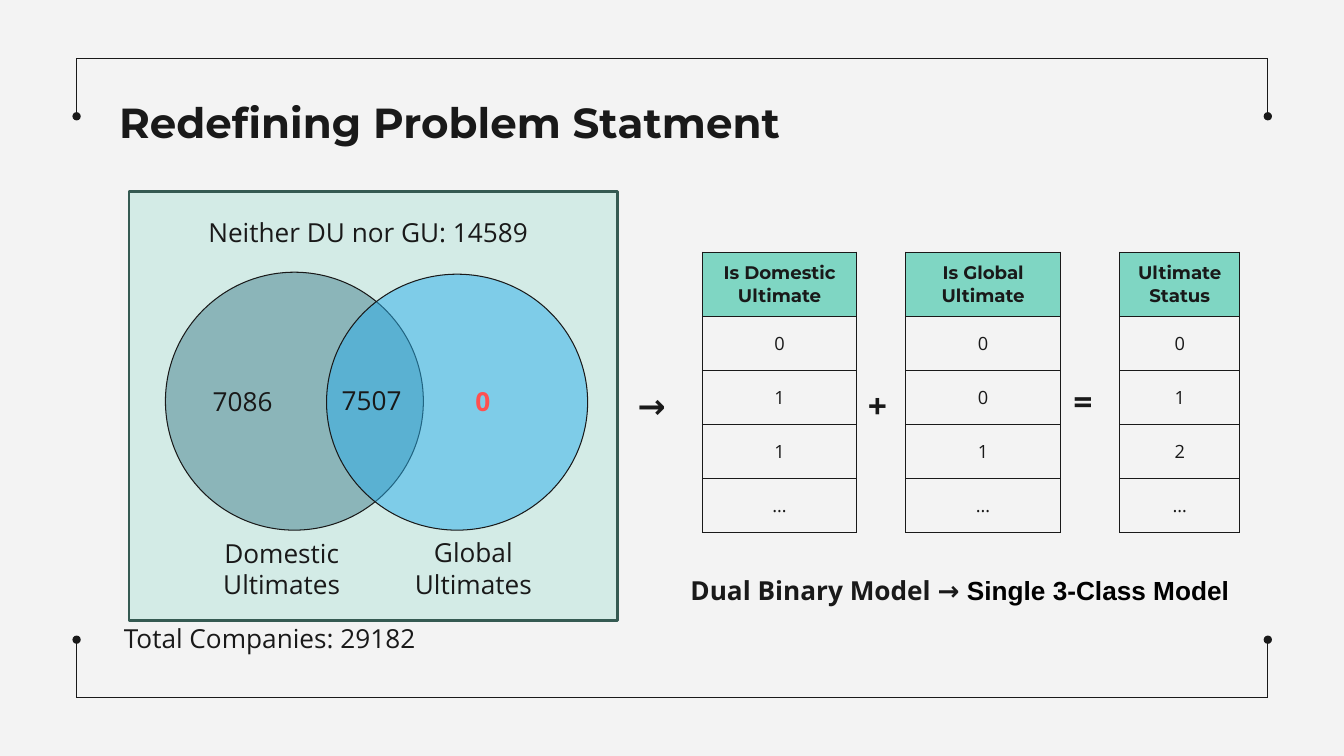
from dataclasses import dataclass

from pptx import Presentation
from pptx.dml.color import RGBColor
from pptx.enum.shapes import MSO_CONNECTOR, MSO_SHAPE
from pptx.enum.text import MSO_ANCHOR, PP_ALIGN
from pptx.oxml.ns import qn
from pptx.util import Cm, Pt
from lxml import etree

LEFT, CENTER = PP_ALIGN.LEFT, PP_ALIGN.CENTER
TOP, MIDDLE = MSO_ANCHOR.TOP, MSO_ANCHOR.MIDDLE
RECT, OVAL = MSO_SHAPE.RECTANGLE, MSO_SHAPE.OVAL
STRAIGHT = MSO_CONNECTOR.STRAIGHT


@dataclass(frozen=True)
class Theme:
    paper: str = "F3F3F3"
    ink: str = "191919"
    black: str = "000000"
    mint: str = "7FD6C3"
    pine: str = "355A52"
    teal: str = "45818E"
    sky: str = "2AAFEB"
    red: str = "FF5050"
    head: str = "Montserrat"
    body: str = "Open Sans"
    plain: str = "Arial"
    title_size: float = 30
    sign_size: float = 24
    text_size: float = 18.7
    cell_size: float = 13
    hairline: float = 0.75


T = Theme()


def rgb(value):
    return RGBColor.from_string(value)


def cm(*values):
    return [Cm(v) for v in values]


def set_all(obj, values):
    for name, value in values.items():
        setattr(obj, name, value)


def style_font(font, size=T.text_size, color=T.ink, name=T.body, bold=False):
    set_all(font, {"size": Pt(size), "name": name, "bold": bold})
    font.color.rgb = rgb(color)


def set_margins(obj, x, y):
    set_all(obj, {"margin_left": Cm(x), "margin_right": Cm(x),
                  "margin_top": Cm(y), "margin_bottom": Cm(y)})


def write(tf, text, align=LEFT, **font):
    for i, line in enumerate(text.split("\n")):
        p = tf.paragraphs[0] if i == 0 else tf.add_paragraph()
        p.alignment = align
        r = p.add_run()
        r.text = line
        style_font(r.font, **font)


def add_text(s, x, y, w, h, text, align=LEFT, **font):
    tf = s.shapes.add_textbox(*cm(x, y, w, h)).text_frame
    set_all(tf, {"word_wrap": True, "vertical_anchor": TOP})
    set_margins(tf, 0.25, 0.13)
    write(tf, text, align, **font)
    return tf


def add_filled(s, kind, x, y, w, h, fill, alpha, line, width):
    sp = s.shapes.add_shape(kind, *cm(x, y, w, h))
    sp.shadow.inherit = False
    sp.fill.solid()
    sp.fill.fore_color.rgb = rgb(fill)
    color = sp._element.spPr.find(qn("a:solidFill"))[0]
    etree.SubElement(color, qn("a:alpha"), val=str(alpha * 1000))
    sp.line.color.rgb = rgb(line)
    sp.line.width = Pt(width)


def add_line(s, x1, y1, x2, y2, dot=False):
    c = s.shapes.add_connector(STRAIGHT, *cm(x1, y1, x2, y2))
    c.line.color.rgb = rgb(T.ink)
    c.line.width = Pt(T.hairline)
    if dot:
        etree.SubElement(c.line._get_or_add_ln(), qn("a:tailEnd"), type="oval")
    etree.SubElement(c._element.spPr, qn("a:effectLst"))


def add_frame(s, x, y, w, h, tick=1.46):
    for edge, end in ((y, y + tick), (y + h, y + h - tick)):
        add_line(s, x, edge, x + w, edge)
        for side in (x, x + w):
            add_line(s, side, edge, side, end, dot=True)


def add_title(s, x, y, w, h, text):
    title = s.shapes.title
    set_all(title, dict(zip(("left", "top", "width", "height"), cm(x, y, w, h))))
    tf = title.text_frame
    set_all(tf, {"word_wrap": True, "vertical_anchor": MIDDLE})
    set_margins(tf, 0.33, 0.33)
    write(tf, text, size=T.title_size, name=T.head, bold=True)


def add_venn(s, x, y, w, h):
    add_filled(s, RECT, x, y, w, h, T.mint, 27, T.pine, 2)
    for dx, dy, cw, ch, color in ((0.92, 2.03, 6.5, 6.5, T.teal),
                                  (4.98, 2.08, 6.58, 6.45, T.sky)):
        add_filled(s, OVAL, x + dx, y + dy, cw, ch, color, 50, T.ink, T.hairline)
    for dx, dy, text in ((1.93, 8.58, "Domestic\nUltimates"),
                         (6.76, 8.56, "Global\nUltimates")):
        add_text(s, x + dx, y + dy, 3.84, 1.85, text, CENTER)
    for dx, dy, lw, text, font in (
            (1.75, 0.5, 9.78, "Neither DU nor GU: 14589", {}),
            (1.86, 4.75, 2.31, "7086", {}),
            (5.11, 4.72, 2.31, "7507", {}),
            (8.48, 4.75, 1.07, "0", {"color": T.red, "bold": True}),
            (-0.38, h - 0.09, 8.05, "Total Companies: 29182", {})):
        add_text(s, x + dx, y + dy, lw, 1.07, text, **font)


def add_borders(cell):
    tcPr = cell._tc.get_or_add_tcPr()
    for side in ("lnL", "lnR", "lnT", "lnB"):
        ln = etree.SubElement(tcPr, qn(f"a:{side}"), w=str(Pt(T.hairline)))
        fill = etree.SubElement(ln, qn("a:solidFill"))
        etree.SubElement(fill, qn("a:srgbClr"), val=T.ink)


def add_column(s, x, y, w, header, values, head_h=1.63, row_h=1.36):
    rows = [header, *values]
    h = head_h + row_h * len(values)
    table = s.shapes.add_table(len(rows), 1, *cm(x, y, w, h)).table
    table.horz_banding = False
    for i, text in enumerate(rows):
        is_head = i == 0
        table.rows[i].height = Cm(head_h if is_head else row_h)
        cell = table.cell(i, 0)
        cell.vertical_anchor = MIDDLE
        set_margins(cell, *((0.33, 0.25) if is_head else (0, 0)))
        add_borders(cell)
        if is_head:
            cell.fill.solid()
            cell.fill.fore_color.rgb = rgb(T.mint)
        else:
            cell.fill.background()
        write(cell.text_frame, text, CENTER, size=T.cell_size,
              name=T.head if is_head else T.body, bold=is_head)


def add_model(s, x, y, w, h):
    for dx, cw, header, values in (
            (1.88, 3.89, "Is Domestic Ultimate", "011…"),
            (7.01, 3.89, "Is Global Ultimate", "001…"),
            (12.4, 3.02, "Ultimate\nStatus", "012…")):
        add_column(s, x + dx, y, cw, header, values)
    for dx, dy, sign in ((0, 3.23, "→"), (5.8, 3.23, "+"), (10.98, 3.12, "=")):
        add_text(s, x + dx, y + dy, 1.19, 1.27, sign, size=T.sign_size, bold=True)
    tf = add_text(s, x + 1.33, y + h - 1.07, w - 1.33, 1.07,
                  "Dual Binary Model →", bold=True)
    r = tf.paragraphs[0].add_run()
    r.text = " Single 3-Class Model"
    style_font(r.font, color=T.black, name=T.plain, bold=True)


def main():
    prs = Presentation()
    prs.slide_width, prs.slide_height = cm(33.87, 19.05)
    s = prs.slides.add_slide(prs.slide_layouts[5])
    s.background.fill.solid()
    s.background.fill.fore_color.rgb = rgb(T.paper)
    add_frame(s, 1.93, 1.47, 30.02, 16.11)
    add_title(s, 2.67, 2.01, 28.55, 2.13, "Redefining Problem Statment")
    add_venn(s, 3.25, 4.83, 12.32, 10.8)
    add_model(s, 15.82, 6.35, 16.57, 9.07)
    prs.save("out.pptx")


if __name__ == "__main__":
    main()
